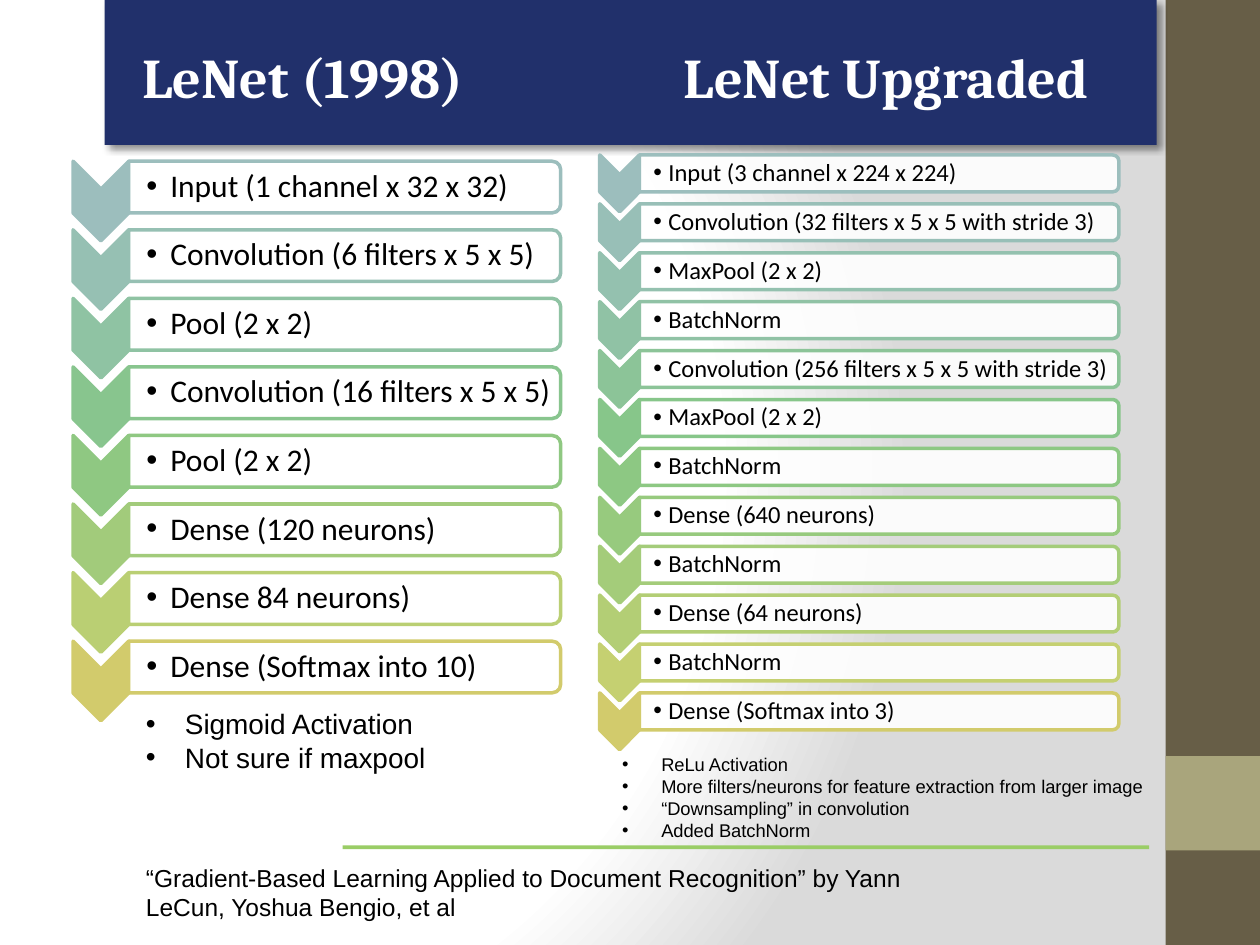
from colorsys import hls_to_rgb

from pptx import Presentation
from pptx.dml.color import RGBColor
from pptx.enum.shapes import MSO_SHAPE
from pptx.enum.text import MSO_ANCHOR, PP_ALIGN
from pptx.oxml import parse_xml
from pptx.oxml.ns import nsdecls
from pptx.util import Inches, Pt

COLORS = {
    "olive": "675E47", "sage": "A9A57C", "navy": "21306B", "green": "9ACD66",
    "white": "FFFFFF", "gray": "DADADA", "black": "000000",
}
FIRST_HLS = (178.2, 0.678, 0.207)
LAST_HLS = (55.9, 0.6235, 0.531)
LENET = [
    "Input (1 channel x 32 x 32)", "Convolution (6 filters x 5 x 5)",
    "Pool (2 x 2)", "Convolution (16 filters x 5 x 5)", "Pool (2 x 2)",
    "Dense (120 neurons)", "Dense 84 neurons)", "Dense (Softmax into 10)",
]
UPGRADED = [
    "Input (3 channel x 224 x 224)",
    "Convolution (32 filters x 5 x 5 with stride 3)", "MaxPool (2 x 2)", "BatchNorm",
    "Convolution (256 filters x 5 x 5 with stride 3)", "MaxPool (2 x 2)", "BatchNorm",
    "Dense (640 neurons)", "BatchNorm", "Dense (64 neurons)", "BatchNorm",
    "Dense (Softmax into 3)",
]
LENET_NOTES = ["Sigmoid Activation", "Not sure if maxpool"]
UPGRADED_NOTES = [
    "ReLu Activation", "More filters/neurons for feature extraction from larger image",
    "“Downsampling” in convolution", "Added BatchNorm",
]


def layer_color(t):
    """Return the hex colour at fraction t of the layer ramp."""
    h, l, s = (a + (b - a) * t for a, b in zip(FIRST_HLS, LAST_HLS))
    return "".join(f"{round(c * 255):02X}" for c in hls_to_rgb(h / 360, l, s))


def add_block(shapes, kind, box, fill, line=None):
    """Add a flat preset shape in the box, with an optional outline."""
    sp = shapes.add_shape(kind, *map(Inches, box))
    sp.shadow.inherit = False
    sp.fill.solid()
    sp.fill.fore_color.rgb = RGBColor.from_string(fill)
    if line:
        sp.line.color.rgb = RGBColor.from_string(line)
        sp.line.width = Pt(2)
    else:
        sp.line.fill.background()
    return sp


def add_turned(shapes, kind, box, fill, line):
    """Add a shape turned by 90 degrees that covers the box as seen."""
    x, y, w, h = box
    sp = add_block(shapes, kind, (x + (w - h) / 2, y + (h - w) / 2, h, w), fill, line)
    sp.rotation = 90
    return sp


def add_text(shapes, box, lines, size, font, color="black", bold=False, indent=0):
    """Add a wrapped text box, bulleted when an indent is given."""
    tb = shapes.add_textbox(*map(Inches, box))
    tf = tb.text_frame
    tf.word_wrap = True
    tf.text = "\n".join(lines)
    for p in tf.paragraphs:
        f = p.runs[0].font
        f.size, f.name, f.bold = Pt(size), font, bold
        f.color.rgb = RGBColor.from_string(COLORS[color])
        if indent:
            pPr = p._p.get_or_add_pPr()
            pPr.set("marL", str(Inches(indent)))
            pPr.set("indent", str(-Inches(indent)))
            pPr.append(parse_xml(f'<a:buFont {nsdecls("a")} typeface="Arial"/>'))
            pPr.append(parse_xml(f'<a:buChar {nsdecls("a")} char="•"/>'))
    return tf


def add_background(slide):
    """Fill the slide with a radial gradient from white to gray."""
    stops = "".join(
        f'<a:gs pos="{pos}"><a:srgbClr val="{COLORS[name]}"/></a:gs>'
        for pos, name in ((0, "white"), (75000, "white"), (100000, "gray")))
    slide._element.cSld.insert(0, parse_xml(
        f'<p:bg {nsdecls("p", "a")}><p:bgPr><a:gradFill rotWithShape="1">'
        f'<a:gsLst>{stops}</a:gsLst><a:path path="circle">'
        '<a:fillToRect l="20000" t="50000" r="100000" b="50000"/></a:path>'
        '</a:gradFill><a:effectLst/></p:bgPr></p:bg>'))


def add_sidebar(slide, x, y, w, h):
    """Add the side band with its square accent."""
    add_block(slide.shapes, MSO_SHAPE.RECTANGLE, (x, y, w, h), COLORS["olive"])
    add_block(slide.shapes, MSO_SHAPE.RECTANGLE, (x, y + h - 2 * w, w, w), COLORS["sage"])


def add_header(slide, x, y, w, h):
    """Add the shadowed title band and its two headings."""
    band = add_block(slide.shapes, MSO_SHAPE.RECTANGLE, (x, y, w, h), COLORS["navy"])
    effects = band._element.spPr.find("{*}effectLst")
    effects.append(parse_xml(
        f'<a:outerShdw {nsdecls("a")} blurRad="{Pt(4)}" dist="{Pt(3)}" dir="2700000" '
        f'algn="tl" rotWithShape="0"><a:srgbClr val="{COLORS["black"]}">'
        '<a:alpha val="43000"/></a:srgbClr></a:outerShdw>'))
    headings = ((0.08, 2.99, "LeNet (1998)"), (4.09, 4.23, "LeNet Upgraded"))
    for dx, width, title in headings:
        tf = add_text(slide.shapes, (x + dx, y + 0.29, width, 0.64), [title],
                      32, "Cambria", "white", True)
        tf.paragraphs[0].alignment = PP_ALIGN.CENTER


def add_layers(slide, x, y, w, h, layers, size, inset, indent):
    """Add a grouped chevron list with one row per network layer."""
    shapes = slide.shapes.add_group_shape().shapes
    pitch = h / (len(layers) + 0.16)
    chevron_h = pitch * 1.16
    chevron_w, body_h = chevron_h * 0.7, chevron_h * 0.65
    for i, layer in enumerate(layers):
        top = y + i * pitch
        color = layer_color(i / (len(layers) - 1))
        add_turned(shapes, MSO_SHAPE.CHEVRON, (x, top, chevron_w, chevron_h), color, color)
        body = (x + chevron_w, top, w - chevron_w, body_h)
        sp = add_turned(shapes, MSO_SHAPE.ROUND_2_SAME_RECTANGLE, body,
                        COLORS["white"], color)
        clr = sp._element.spPr.find("{*}solidFill")[0]
        clr.append(parse_xml(f'<a:alpha {nsdecls("a")} val="90000"/>'))
        tf = add_text(shapes, body, [layer], size, "Calibri", indent=indent)
        tf.vertical_anchor = MSO_ANCHOR.MIDDLE
        tf.margin_left = Inches(inset)
        tf.margin_right = tf.margin_top = tf.margin_bottom = Inches(0.01)
        tf.paragraphs[0].line_spacing = 0.9


def add_footer(slide, x, y, w, h):
    """Add the citation."""
    add_text(slide.shapes, (x, y, w, h),
             ["“Gradient-Based Learning Applied to Document Recognition” by Yann LeCun, "
              "Yoshua Bengio, et al"], 14, "Arial")


def main():
    """Build the network comparison slide."""
    prs = Presentation()
    prs.slide_width, prs.slide_height = Inches(10), Inches(7.5)
    slide = prs.slides.add_slide(prs.slide_layouts[6])
    add_background(slide)
    add_sidebar(slide, 9.25, 0, 0.75, 7.5)
    add_header(slide, 0.83, 0, 8.35, 1.15)
    add_block(slide.shapes, MSO_SHAPE.RECTANGLE, (2.72, 6.71, 6.4, 0.03), COLORS["green"])
    add_layers(slide, 0.58, 1.28, 3.87, 4.44, LENET, 18, 0.14, 0.19)
    add_layers(slide, 4.76, 1.23, 4.12, 4.72, UPGRADED, 14, 0.11, 0.12)
    add_footer(slide, 1.06, 6.8, 6.46, 0.57)
    add_text(slide.shapes, (1.06, 5.56, 2.86, 0.64), LENET_NOTES, 16, "Arial", indent=0.31)
    add_text(slide.shapes, (4.84, 5.93, 4.44, 0.81), UPGRADED_NOTES, 10.5, "Arial",
             indent=0.31)
    prs.save("out.pptx")


if __name__ == "__main__":
    main()
